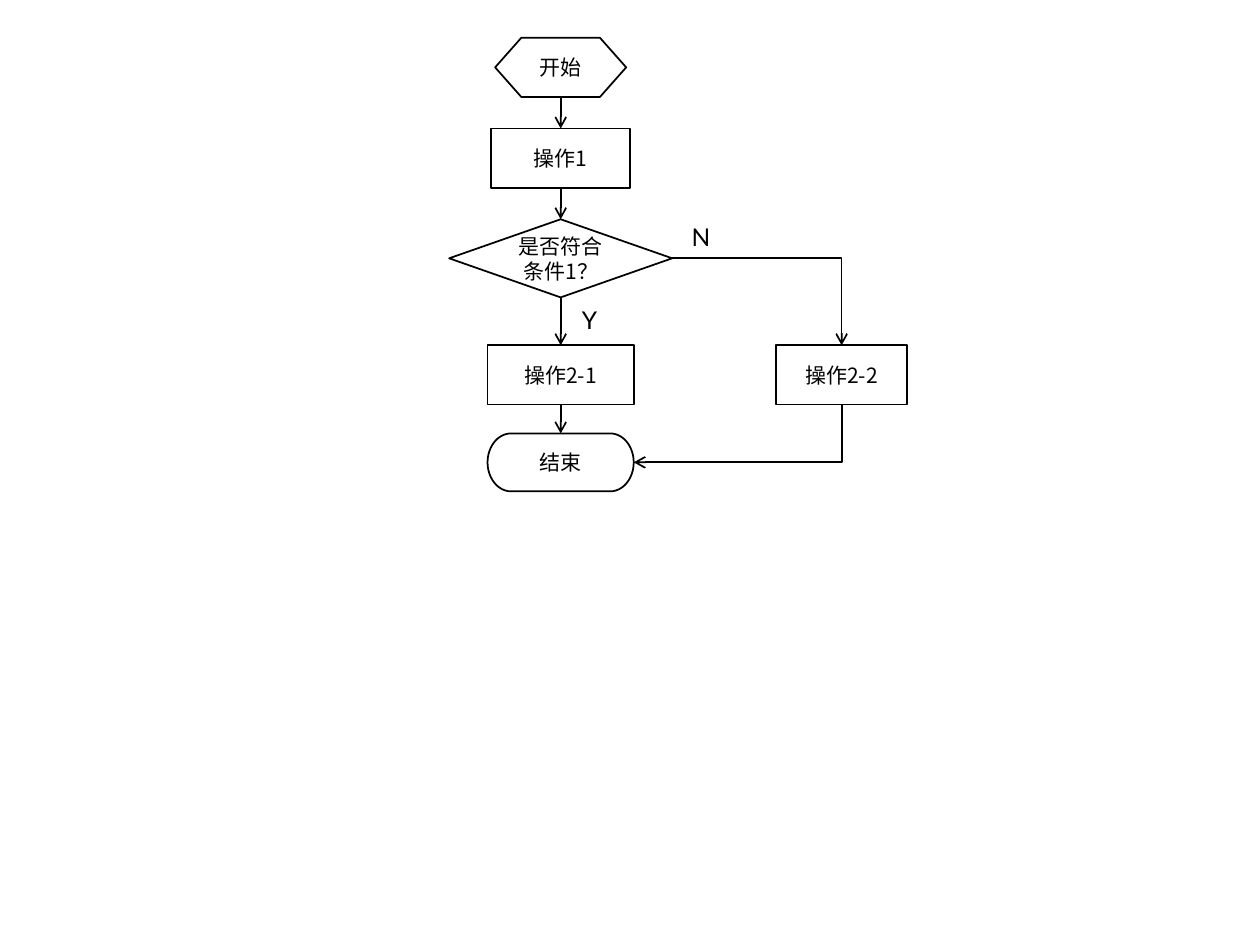
from lxml import etree
from pptx import Presentation
from pptx.dml.color import RGBColor
from pptx.enum.shapes import MSO_CONNECTOR, MSO_SHAPE
from pptx.enum.text import MSO_ANCHOR, MSO_AUTO_SIZE, PP_ALIGN
from pptx.oxml.ns import qn
from pptx.util import Inches, Pt

BLACK = RGBColor(0, 0, 0)
WHITE = RGBColor(255, 255, 255)
PREPARATION = MSO_SHAPE.FLOWCHART_PREPARATION
PROCESS = MSO_SHAPE.FLOWCHART_PROCESS
DECISION = MSO_SHAPE.FLOWCHART_DECISION
TERMINATOR = MSO_SHAPE.FLOWCHART_TERMINATOR
STRAIGHT, ELBOW = MSO_CONNECTOR.STRAIGHT, MSO_CONNECTOR.ELBOW
TOP, BOTTOM, RIGHT = 0, 2, 3
NODE_FONT, LABEL_FONT = "Noto Sans CJK SC", "Lato"


def style_text(p, size, font):
    """Set size, colour, Latin and East Asian font on the runs of a paragraph."""
    for r in p.runs:
        r.font.size = Pt(size)
        r.font.name = font
        r.font.color.rgb = BLACK
        r.font._element.get_or_add_latin().addnext(
            etree.Element(qn("a:ea"), typeface=font))


def add_node(s, kind, text, center, top, width, height):
    """Add an outlined flowchart step centred on a column."""
    sp = s.shapes.add_shape(kind, Inches(center - width / 2), Inches(top),
                            Inches(width), Inches(height))
    sp.shadow.inherit = False
    sp.fill.solid()
    sp.fill.fore_color.rgb = WHITE
    sp.line.color.rgb = BLACK
    sp.line.width = Pt(1)
    tf = sp.text_frame
    tf.text = text
    tf.word_wrap = True
    tf.vertical_anchor = MSO_ANCHOR.MIDDLE
    p = tf.paragraphs[0]
    p.alignment = PP_ALIGN.CENTER
    style_text(p, 12, NODE_FONT)
    return sp


def add_arrow(s, kind, start, start_site, end, end_site):
    """Connect two steps with an open arrowhead at the end."""
    c = s.shapes.add_connector(kind, 0, 0, 0, 0)
    c.begin_connect(start, start_site)
    c.end_connect(end, end_site)
    c.line.color.rgb = BLACK
    c.line.width = Pt(1)
    etree.SubElement(c.line._get_or_add_ln(), qn("a:tailEnd"), type="arrow")
    etree.SubElement(c._element.spPr, qn("a:effectLst"))
    if kind == ELBOW:
        c._element.spPr.find(qn("a:prstGeom")).set("prst", "bentConnector2")
        if start_site == BOTTOM:
            turn_down_first(c)
    return c


def turn_down_first(c):
    """Rotate a one-corner connector so that it runs down, then left."""
    left, top, width, height = c.left, c.top, c.width, c.height
    xfrm = c._element.spPr.find(qn("a:xfrm"))
    xfrm.attrib.pop("flipH", None)
    xfrm.set("rot", str(90 * 60000))
    c.left = left + (width - height) // 2
    c.top = top + (height - width) // 2
    c.width, c.height = height, width


def add_label(s, text, left, top, width, height):
    """Add a branch label beside an arrow."""
    tf = s.shapes.add_textbox(Inches(left), Inches(top), Inches(width),
                              Inches(height)).text_frame
    tf.text = text
    tf.word_wrap = False
    tf.auto_size = MSO_AUTO_SIZE.SHAPE_TO_FIT_TEXT
    style_text(tf.paragraphs[0], 14, LABEL_FONT)


def add_flowchart(s, center, top):
    """Build the flowchart from its main column centre and top edge."""
    steps = [(PREPARATION, "开始", 0, 1.04, 0.47),
             (PROCESS, "操作1", 0.72, 1.1, 0.47),
             (DECISION, "是否符合条件1？", 1.44, 1.77, 0.62),
             (PROCESS, "操作2-1", 2.44, 1.16, 0.47),
             (TERMINATOR, "结束", 3.14, 1.16, 0.46)]
    column = [add_node(s, kind, text, center, top + y, w, h)
              for kind, text, y, w, h in steps]
    branch = add_node(s, PROCESS, "操作2-2", center + 2.23, top + 2.44, 1.04, 0.47)
    for upper, lower in zip(column, column[1:]):
        add_arrow(s, STRAIGHT, upper, BOTTOM, lower, TOP)
    decision, end = column[2], column[-1]
    add_arrow(s, ELBOW, branch, BOTTOM, end, RIGHT)
    add_arrow(s, ELBOW, decision, RIGHT, branch, TOP)
    add_label(s, "Y", center + 0.07, top + 2.07, 0.33, 0.34)
    add_label(s, "N", center + 0.94, top + 1.41, 0.36, 0.34)


prs = Presentation()
prs.slide_width, prs.slide_height = Inches(10), Inches(7.5)
slide = prs.slides.add_slide(prs.slide_layouts[6])
add_flowchart(slide, 4.45, 0.3)
prs.save("out.pptx")
